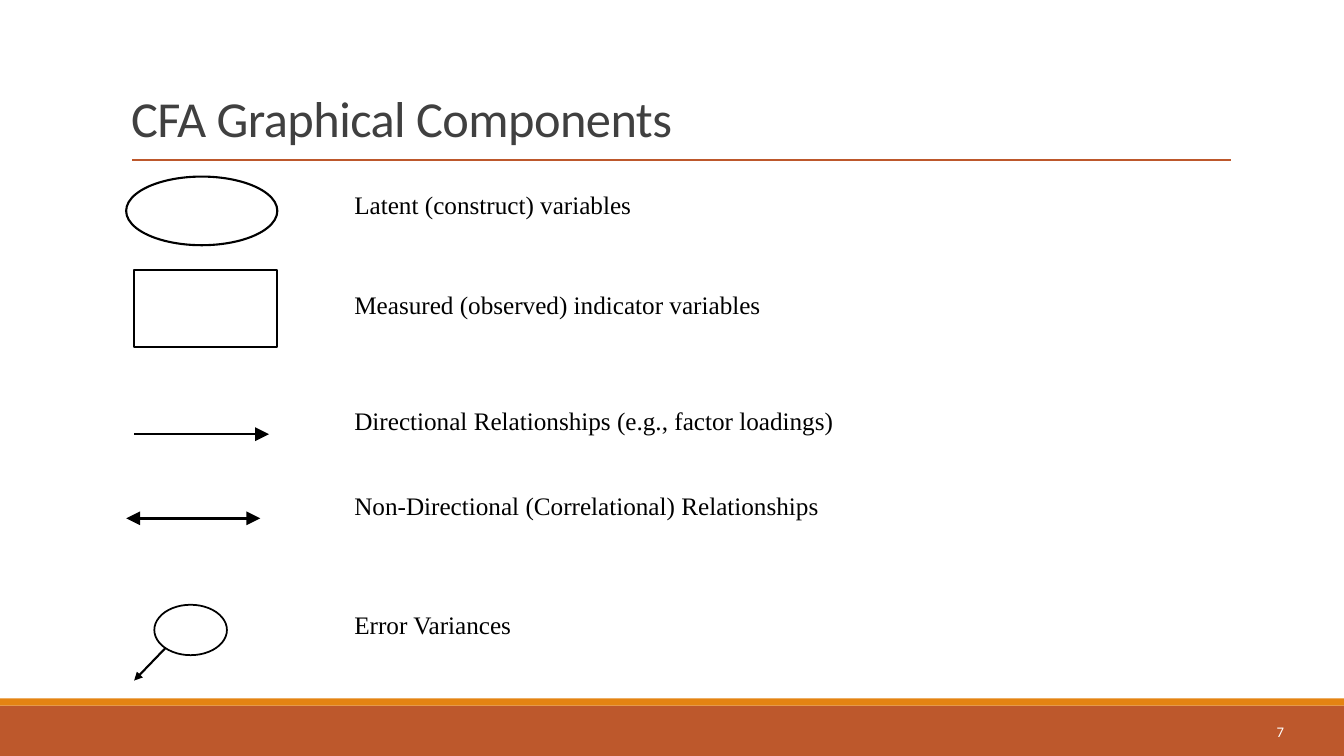
from lxml import etree
from pptx import Presentation
from pptx.dml.color import RGBColor
from pptx.enum.shapes import MSO_CONNECTOR, MSO_SHAPE
from pptx.enum.text import MSO_ANCHOR, MSO_AUTO_SIZE, PP_ALIGN
from pptx.oxml.ns import qn
from pptx.util import Cm, Pt

RECT, OVAL = MSO_SHAPE.RECTANGLE, MSO_SHAPE.OVAL
STRAIGHT = MSO_CONNECTOR.STRAIGHT
LEFT, RIGHT = PP_ALIGN.LEFT, PP_ALIGN.RIGHT
TOP, MIDDLE, BOTTOM = MSO_ANCHOR.TOP, MSO_ANCHOR.MIDDLE, MSO_ANCHOR.BOTTOM

COLORS = {"rust": "BD582C", "orange": "E48312", "title": "404040",
          "black": "000000", "white": "FFFFFF"}
SANS, SERIF = "Calibri", "Times New Roman"
WIDTH, HEIGHT = 33.87, 19.05


def rgb(name):
    return RGBColor.from_string(COLORS[name])


def write(tf, text, font=SERIF, size=18, color="black", align=LEFT,
          anchor=TOP, line_spacing=None, tracking=None):
    tf.word_wrap = True
    tf.auto_size = MSO_AUTO_SIZE.NONE
    tf.vertical_anchor = anchor
    p = tf.paragraphs[0]
    p.alignment = align
    p.line_spacing = line_spacing
    r = p.add_run()
    r.text = text
    r.font.name, r.font.size = font, Pt(size)
    r.font.color.rgb = rgb(color)
    if tracking is not None:
        r.font._element.set("spc", str(round(tracking * 100)))


class Builder:
    def __init__(self, prs):
        self.s = prs.slides.add_slide(prs.slide_layouts[5])

    def title(self, text, x, y, w, h):
        sp = self.s.shapes.title
        sp.left, sp.top, sp.width, sp.height = Cm(x), Cm(y), Cm(w), Cm(h)
        write(sp.text_frame, text, font=SANS, size=36, color="title",
              anchor=BOTTOM, line_spacing=0.85, tracking=-0.4)

    def shape(self, kind, x, y, w, h, fill=None, line=None):
        sp = self.s.shapes.add_shape(kind, Cm(x), Cm(y), Cm(w), Cm(h))
        sp.shadow.inherit = False
        if fill:
            sp.fill.solid()
            sp.fill.fore_color.rgb = rgb(fill)
        else:
            sp.fill.background()
        if line:
            sp.line.color.rgb = rgb("black")
            sp.line.width = Pt(line)
        else:
            sp.line.fill.background()

    def line(self, x1, y1, x2, y2, color="black", width=1.75, ends=(), size="lg"):
        c = self.s.shapes.add_connector(STRAIGHT, Cm(x1), Cm(y1), Cm(x2), Cm(y2))
        c.line.color.rgb = rgb(color)
        c.line.width = Pt(width)
        ln = c.line._get_or_add_ln()
        for end in ends:
            etree.SubElement(ln, qn(f"a:{end}"), type="triangle", w=size, len=size)
        etree.SubElement(c._element.spPr, qn("a:effectLst"))

    def text(self, text, x, y, w, h, **style):
        sp = self.s.shapes.add_textbox(Cm(x), Cm(y), Cm(w), Cm(h))
        write(sp.text_frame, text, **style)


def main():
    prs = Presentation()
    prs.slide_width, prs.slide_height = Cm(WIDTH), Cm(HEIGHT)
    b = Builder(prs)

    # Footer bands, title rule and page number
    b.shape(RECT, 0, 17.78, WIDTH, 1.27, fill="rust")
    b.shape(RECT, 0, 17.6, WIDTH, 0.18, fill="orange")
    b.line(3.33, 4.03, 31.01, 4.03, color="rust", width=1.5)
    b.title("CFA Graphical Components", 3.05, 0.79, 27.94, 3.05)
    b.text("7", 28.98, 17.93, 3.63, 1.02, font=SANS, size=10.5,
           color="white", align=RIGHT, anchor=MIDDLE)

    # Symbols
    b.shape(OVAL, 3.18, 4.45, 3.81, 1.73, line=1.5)
    b.shape(RECT, 3.38, 6.81, 3.61, 1.93, line=1.25)
    b.line(3.38, 10.94, 6.78, 10.94, ends=["tailEnd"])
    b.line(3.18, 13.06, 6.56, 13.06, ends=["headEnd", "tailEnd"])
    b.shape(OVAL, 3.89, 15.24, 1.83, 1.27, line=1.25)
    b.line(4.17, 16.33, 3.38, 17.15, width=1.5, ends=["tailEnd"], size="med")

    # Meaning of each symbol
    for y, label in [
        (4.65, "Latent (construct) variables"),
        (7.16, "Measured (observed) indicator variables"),
        (10.08, "Directional Relationships (e.g., factor loadings)"),
        (12.24, "Non-Directional (Correlational) Relationships"),
        (15.24, "Error Variances"),
    ]:
        b.text(label, 8.68, y, 17.15, 1.07)

    prs.save("out.pptx")


if __name__ == "__main__":
    main()
